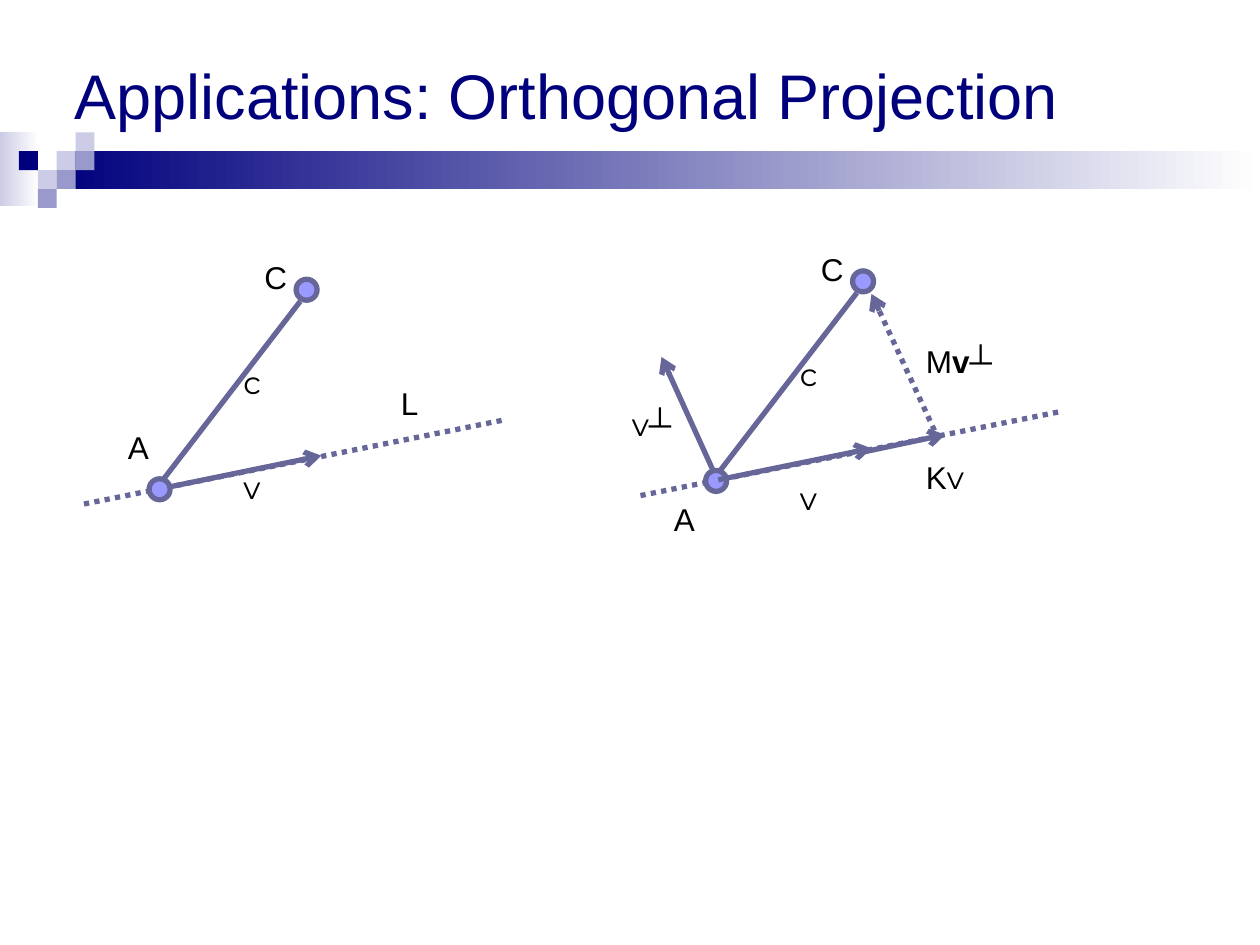
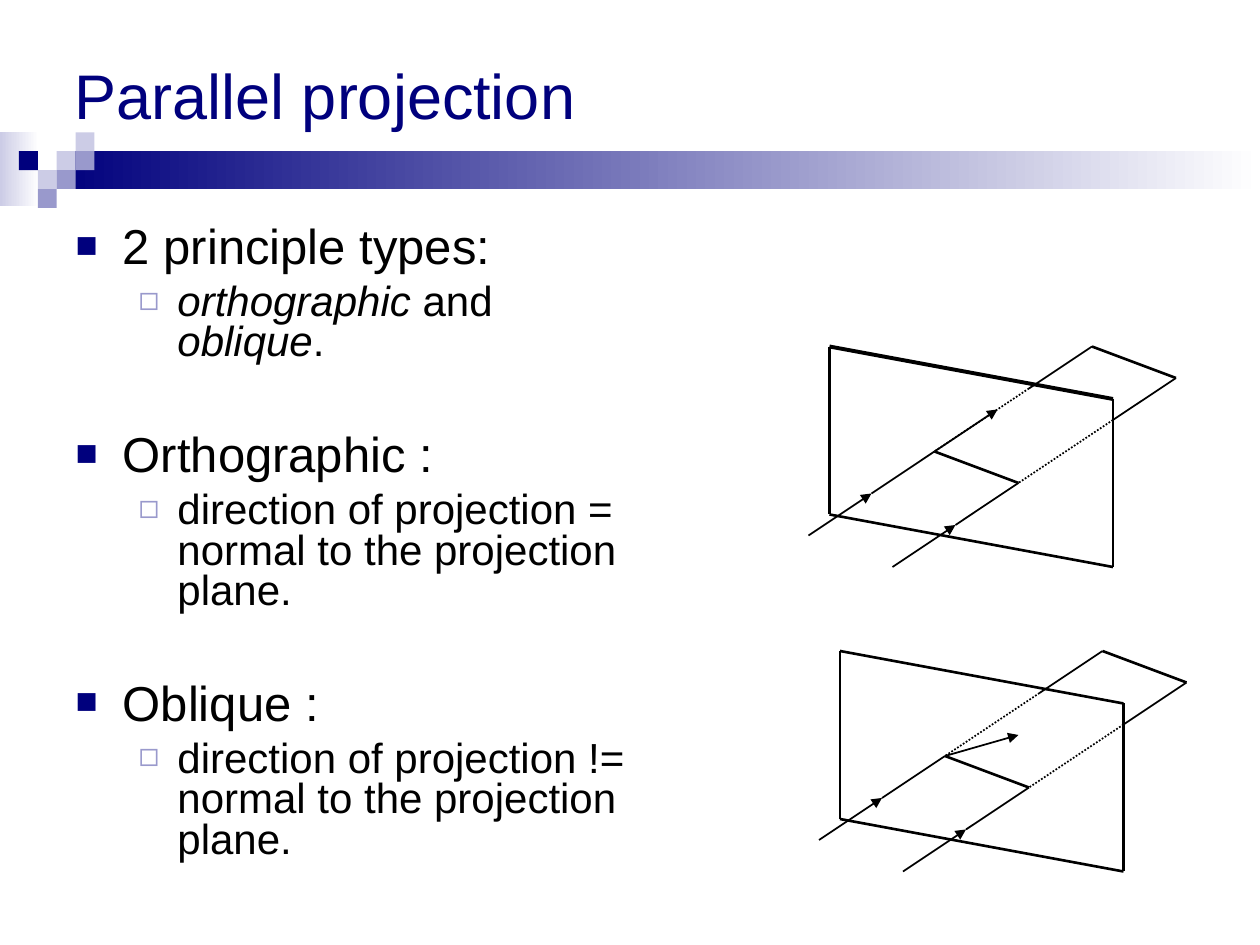
from dataclasses import dataclass
from typing import NamedTuple

from lxml import etree
from pptx import Presentation
from pptx.dml.color import RGBColor
from pptx.enum.dml import MSO_LINE
from pptx.enum.shapes import MSO_CONNECTOR, MSO_SHAPE
from pptx.enum.text import MSO_ANCHOR, MSO_AUTO_SIZE, PP_ALIGN
from pptx.oxml.ns import qn
from pptx.util import Emu, Pt

STRAIGHT = MSO_CONNECTOR.STRAIGHT
RECTANGLE, OVAL = MSO_SHAPE.RECTANGLE, MSO_SHAPE.OVAL
DOTTED = MSO_LINE.ROUND_DOT
MIDDLE, TOP = MSO_ANCHOR.MIDDLE, MSO_ANCHOR.TOP
LEFT = PP_ALIGN.LEFT
NO_AUTOFIT = MSO_AUTO_SIZE.NONE
EMU_PER_PX = 7620


@dataclass(frozen=True)
class Theme:
    navy: str = "00007D"
    lilac: str = "9999CC"
    mist: str = "CCCCE6"
    white: str = "FFFFFF"
    black: str = "000000"
    slate: str = "666699"
    point: str = "9999FF"
    font: str = "Arial"
    vector_font: str = "Montserrat"
    title_size: int = 36
    topic_size: int = 28
    detail_size: int = 24
    label_size: int = 18
    vector_width: float = 3
    heavy_width: float = 2.25
    edge_width: float = 1.5
    ray_width: float = 1


THEME = Theme()


class Point(NamedTuple):
    x: int
    y: int


class Box(NamedTuple):
    x: int
    y: int
    w: int
    h: int


class Run(NamedTuple):
    text: str
    font: str = THEME.font
    bold: bool = False
    italic: bool = False


class Line(NamedTuple):
    start: Point
    end: Point
    width: float = THEME.vector_width
    color: str = THEME.slate
    dotted: bool = False
    arrow: str = ""


class Label(NamedTuple):
    at: Point
    runs: tuple[Run, ...]
    width: int = 40


class Bullet(NamedTuple):
    runs: tuple[Run, ...]
    level: int = 0
    space_before: int = 7


class BulletStyle(NamedTuple):
    char: str
    color: str
    percent: int
    margin: int
    indent: int
    size: int


BULLET_STYLES = (
    BulletStyle("■", THEME.navy, 75, 45, -45, THEME.topic_size),
    BulletStyle("◻", THEME.lilac, 80, 97, -37, THEME.detail_size),
)
TITLE_BOX = Box(59, 0, 1080, 180)
BODY_BOX = Box(60, 210, 550, 619)
CELL = 18
BAND_TOP = 126
MOSAIC = (
    (3, 1, THEME.mist), (4, 0, THEME.mist), (4, 1, THEME.lilac), (2, 2, THEME.mist),
    (1, 1, THEME.navy), (3, 2, THEME.lilac), (2, 3, THEME.lilac),
)


def px(length: int) -> Emu:
    return Emu(length * EMU_PER_PX)


def rgb(color: str) -> RGBColor:
    return RGBColor.from_string(color)


def place(shape, box: Box) -> None:
    shape.left, shape.top, shape.width, shape.height = map(px, box)


def add_runs(paragraph, runs: tuple[Run, ...], size: int, color: str) -> None:
    for part in runs:
        run = paragraph.add_run()
        run.text = part.text
        run.font.name = part.font
        run.font.size = Pt(size)
        run.font.bold = part.bold
        run.font.italic = part.italic
        run.font.color.rgb = rgb(color)


def add_filled(slide, kind, box: Box, color: str, fade: bool = False):
    shape = slide.shapes.add_shape(kind, *map(px, box))
    shape.shadow.inherit = False
    shape.line.fill.background()
    if fade:
        shape.fill.gradient()
        shape.fill.gradient_angle = 0
        for stop, tone in zip(shape.fill.gradient_stops, (color, THEME.white)):
            stop.color.rgb = rgb(tone)
    else:
        shape.fill.solid()
        shape.fill.fore_color.rgb = rgb(color)
    return shape


def add_line(slide, line: Line, shift: Point = Point(0, 0)) -> None:
    ends = (line.start.x + shift.x, line.start.y + shift.y,
            line.end.x + shift.x, line.end.y + shift.y)
    connector = slide.shapes.add_connector(STRAIGHT, *map(px, ends))
    connector.line.width = Pt(line.width)
    connector.line.color.rgb = rgb(line.color)
    if line.dotted:
        connector.line.dash_style = DOTTED
    if line.arrow:
        outline = connector.line._get_or_add_ln()
        etree.SubElement(outline, qn("a:tailEnd"), type=line.arrow)
    etree.SubElement(connector._element.spPr, qn("a:effectLst"))


def add_label(slide, label: Label, shift: Point = Point(0, 0)) -> None:
    box = Box(label.at.x + shift.x, label.at.y + shift.y, label.width, 48)
    frame = slide.shapes.add_textbox(*map(px, box)).text_frame
    frame.word_wrap = True
    add_runs(frame.paragraphs[0], label.runs, THEME.label_size, THEME.black)


def add_dot(slide, corner: Point, shift: Point) -> None:
    box = Box(corner.x + shift.x, corner.y + shift.y, 20, 20)
    dot = add_filled(slide, OVAL, box, THEME.point)
    dot.line.color.rgb = rgb(THEME.slate)
    dot.line.width = Pt(THEME.vector_width)


def add_title(slide, text: str) -> None:
    title = slide.shapes.title
    place(title, TITLE_BOX)
    frame = title.text_frame
    frame.auto_size = NO_AUTOFIT
    frame.vertical_anchor = MIDDLE
    frame.paragraphs[0].alignment = LEFT
    add_runs(frame.paragraphs[0], (Run(text),), THEME.title_size, THEME.navy)


def add_master_band(prs, slide) -> None:
    band = [
        add_filled(slide, RECTANGLE, Box(0, BAND_TOP, 37, 70), THEME.mist, fade=True),
        add_filled(slide, RECTANGLE, Box(54, 144, 1146, 36), THEME.navy, fade=True),
    ]
    for column, row, color in MOSAIC:
        cell = Box(column * CELL, BAND_TOP + row * CELL, CELL, CELL)
        band.append(add_filled(slide, RECTANGLE, cell, color))
    master_tree = prs.slide_master.shapes._spTree
    for position, part in enumerate(band, start=2):
        master_tree.insert(position, part._element)


def add_bullets(slide, bullets: tuple[Bullet, ...]) -> None:
    body = slide.placeholders[1]
    place(body, BODY_BOX)
    frame = body.text_frame
    frame.auto_size = NO_AUTOFIT
    frame.vertical_anchor = TOP
    for index, bullet in enumerate(bullets):
        paragraph = frame.add_paragraph() if index else frame.paragraphs[0]
        style = BULLET_STYLES[bullet.level]
        paragraph.level = bullet.level
        props = paragraph._p.get_or_add_pPr()
        props.set("marL", str(px(style.margin)))
        props.set("indent", str(px(style.indent)))
        tint = etree.SubElement(props, qn("a:buClr"))
        etree.SubElement(tint, qn("a:srgbClr"), val=style.color)
        etree.SubElement(props, qn("a:buSzPct"), val=str(style.percent * 1000))
        etree.SubElement(props, qn("a:buChar"), char=style.char)
        paragraph.line_spacing = 0.8
        paragraph.space_before = Pt(bullet.space_before if index else 0)
        add_runs(paragraph, bullet.runs, style.size, THEME.black)


def vector(text: str) -> Run:
    return Run(text, THEME.vector_font)


def add_point_and_line(slide, shift: Point) -> None:
    add_line(slide, Line(Point(80, 480), Point(480, 400), dotted=True), shift)
    for corner in (Point(142, 456), Point(282, 266)):
        add_dot(slide, corner, shift)
    add_line(slide, Line(Point(156, 456), Point(286, 287)), shift)
    add_label(slide, Label(Point(240, 240), (Run("C"),)), shift)
    add_label(slide, Label(Point(220, 340), (vector("c"),), 50), shift)


def build_orthogonal(slide) -> None:
    add_title(slide, "Applications: Orthogonal Projection")
    for shift in (Point(0, 0), Point(530, -8)):
        add_point_and_line(slide, shift)
    vectors = (
        Line(Point(160, 464), Point(306, 434), arrow="arrow"),
        Line(Point(684, 457), Point(830, 427), arrow="arrow"),
        Line(Point(820, 431), Point(900, 414), arrow="arrow"),
        Line(Point(890, 410), Point(830, 280), dotted=True, arrow="arrow"),
        Line(Point(680, 450), Point(630, 340), arrow="arrow"),
    )
    labels = (
        Label(Point(110, 402), (Run("A"),)),
        Label(Point(220, 440), (vector("v"),), 50),
        Label(Point(370, 360), (Run("L"),)),
        Label(Point(630, 470), (Run("A"),)),
        Label(Point(750, 450), (vector("v"),), 50),
        Label(Point(590, 380), (vector("v"), Run("┴")), 100),
        Label(Point(870, 320), (Run("M"), Run("v", bold=True), Run("┴")), 100),
        Label(Point(870, 430), (Run("K"), vector("v")), 80),
    )
    for line in vectors:
        add_line(slide, line)
    for label in labels:
        add_label(slide, label)


def add_projection(slide, shift: Point, normal_tip: Point, top_width: float) -> None:
    top_left, top_right = Point(790, 330), Point(1060, 380)
    low_left, low_right = Point(790, 490), Point(1060, 540)
    image_start, image_end = Point(890, 430), Point(970, 460)
    object_start, object_end = Point(1040, 330), Point(1120, 360)
    edges = ((low_left, low_right), (top_left, low_left), (top_right, low_right),
             (image_start, image_end), (object_start, object_end))
    rays = (
        (Point(770, 510), Point(830, 470), image_start, Point(980, 370), object_start),
        (Point(850, 540), Point(910, 500), image_end, Point(1060, 400), object_end),
    )
    lines = [Line(top_left, top_right, top_width, THEME.black)]
    lines += [Line(*edge, THEME.edge_width, THEME.black) for edge in edges]
    for origin, arrow_tip, image, plane_exit, target in rays:
        lines += [
            Line(plane_exit, image, THEME.ray_width, THEME.black, dotted=True),
            Line(origin, arrow_tip, THEME.ray_width, THEME.black, arrow="triangle"),
            Line(arrow_tip, image, THEME.ray_width, THEME.black),
            Line(plane_exit, target, THEME.ray_width, THEME.black),
        ]
    lines.append(Line(image_start, normal_tip, THEME.ray_width, THEME.black, arrow="triangle"))
    for line in lines:
        add_line(slide, line, shift)


def build_parallel(slide) -> None:
    add_title(slide, "Parallel projection")
    add_bullets(slide, (
        Bullet((Run("2 principle types:"),)),
        Bullet((Run("orthographic", italic=True), Run(" and "),
                Run("oblique", italic=True), Run(".")), 1, 6),
        Bullet((Run("Orthographic :"),), space_before=40),
        Bullet((Run("direction of projection = normal to the projection plane."),), 1, 6),
        Bullet((Run("Oblique :"),), space_before=40),
        Bullet((Run("direction of projection != normal to the projection plane."),), 1, 6),
    ))
    add_projection(slide, Point(0, 0), Point(950, 390), THEME.heavy_width)
    add_projection(slide, Point(10, 290), Point(960, 410), THEME.edge_width)


def main() -> None:
    prs = Presentation()
    prs.slide_width, prs.slide_height = px(1200), px(900)
    orthogonal = prs.slides.add_slide(prs.slide_layouts[5])
    add_master_band(prs, orthogonal)
    build_orthogonal(orthogonal)
    build_parallel(prs.slides.add_slide(prs.slide_layouts[1]))
    prs.save("out.pptx")


if __name__ == "__main__":
    main()
